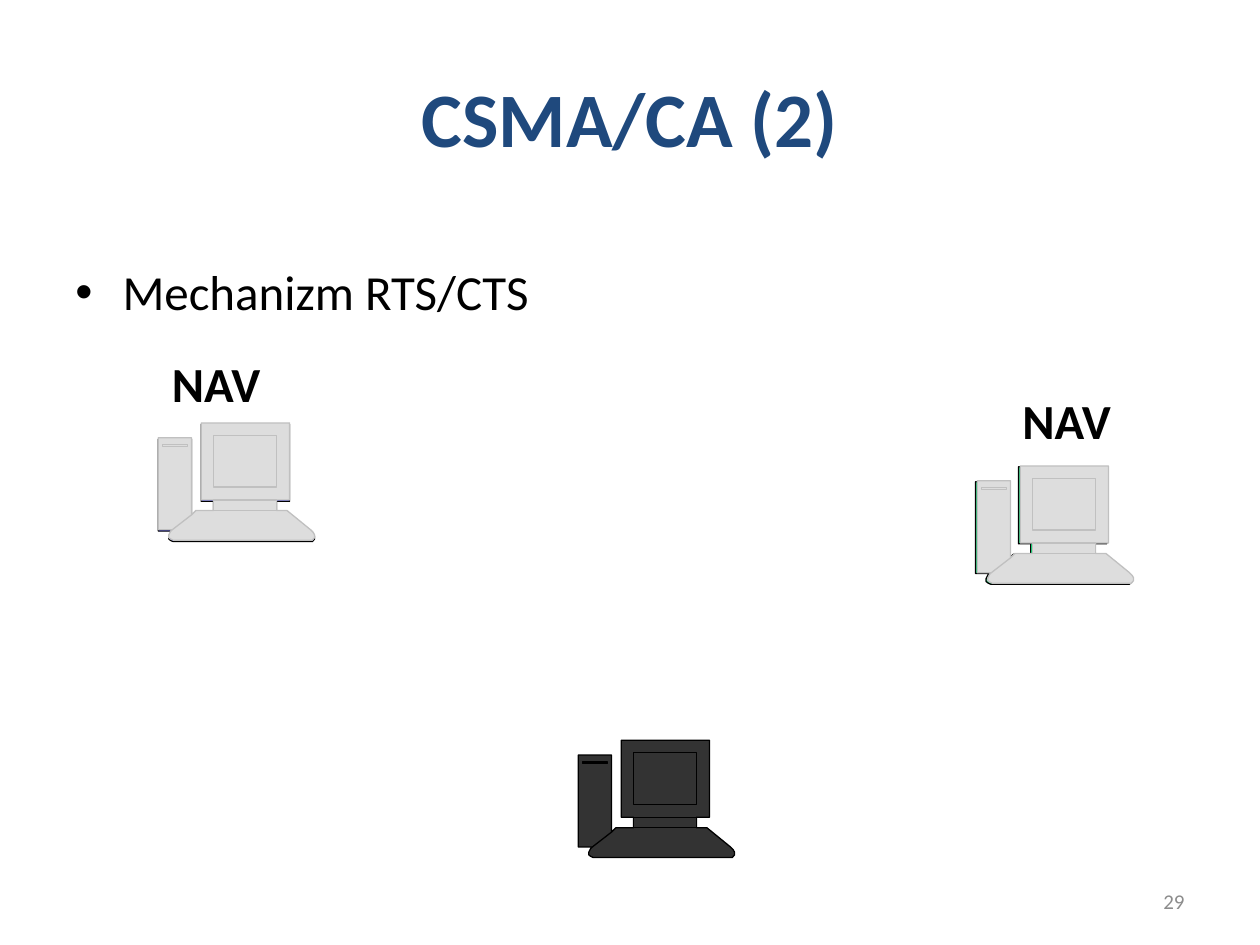
from lxml.etree import SubElement as Sub
from pptx import Presentation as Deck
from pptx.dml.color import RGBColor as Rgb
from pptx.enum.shapes import MSO_SHAPE as Kind
from pptx.enum.text import MSO_ANCHOR as Anchor, MSO_AUTO_SIZE as Auto, PP_ALIGN as Align
from pptx.oxml.ns import qn
from pptx.util import Pt

HUES = {
    "navy": "1F497D", "black": "000000", "white": "FFFFFF", "gray": "8C8C8C",
    "blue": "0000FF", "green": "00CC66", "dark": "333333",
    "pale": "DDDDDD", "edge": "C0C0C0",
}


def box(x1, y1, x2, y2):
    return [(x1, y1), (x2, y1), (x2, y2), (x1, y2)]


BODY = [
    (19, 52.5), (21.5, 50), (31.5, 50), (31.5, 44), (24.5, 44), (24.5, 0),
    (75, 0), (75, 44), (67.5, 44), (67.5, 50), (73.5, 50), (79, 54.5),
    (87, 61), (88.5, 62.5), (89.3, 64), (89.3, 65.5), (88, 67), (87, 67),
    (8.5, 67), (7, 66.3), (6, 65.5), (6, 64), (7, 62), (8, 61),
    (0, 61), (0, 8.5), (19, 8.5),
]
SEAM = [(19, 52.5), (8, 61)]
SCREEN = box(31.5, 7, 67.5, 36.7)
SLOT = box(2.5, 12.5, 16.5, 13.3)
NECK = box(31.5, 44, 67.5, 50)
PARTS = [BODY, SEAM, SCREEN, SLOT, NECK]


class Page:
    font = "Calibri"

    def __init__(self, deck):
        self.slide = deck.slides.add_slide(deck.slide_layouts[5])
        self.shapes = self.slide.shapes

    def hue(self, name):
        return Rgb.from_string(HUES[name])

    def place(self, shape, area):
        shape.left, shape.top, shape.width, shape.height = map(Pt, area)

    def style(self, shape, text, size, hue, bold=False, align=Align.LEFT, anchor=Anchor.TOP):
        frame = shape.text_frame
        frame.text = text
        frame.word_wrap = True
        frame.vertical_anchor = anchor
        para = frame.paragraphs[0]
        para.alignment = align
        font = para.runs[0].font
        font.name, font.size, font.bold = self.font, Pt(size), bold
        font.color.rgb = self.hue(hue)
        return para

    def title(self, text, area):
        shape = self.shapes.title
        self.place(shape, area)
        self.style(shape, text, 44, "navy", True, Align.CENTER, Anchor.MIDDLE)

    def text(self, text, area, size, hue, **look):
        shape = self.shapes.add_textbox(*map(Pt, area))
        return self.style(shape, text, size, hue, **look)

    def bullet(self, text, area):
        para = self.text(text, area, 28, "black")
        props = para._p.get_or_add_pPr()
        props.set("marL", str(Pt(27)))
        props.set("indent", str(Pt(-27)))
        Sub(props, qn("a:buFont"), typeface="Arial")
        Sub(props, qn("a:buChar"), char="•")

    def label(self, text, area):
        shape = self.shapes.add_shape(Kind.RECTANGLE, *map(Pt, area))
        shape.shadow.inherit = False
        shape.fill.solid()
        shape.fill.fore_color.rgb = self.hue("white")
        shape.line.fill.background()
        self.style(shape, text, 28, "black", True, Align.CENTER)
        shape.text_frame.auto_size = Auto.SHAPE_TO_FIT_TEXT

    def host(self, left, top, fill, line):
        pen = self.shapes.build_freeform(*map(Pt, BODY[0]))
        for part in PARTS:
            pts = [(Pt(x), Pt(y)) for x, y in part]
            if part is not BODY:
                pen.move_to(*pts[0])
            pen.add_line_segments(pts[1:], close=True)
        shape = pen.convert_to_shape(Pt(left), Pt(top))
        self.split(shape)
        shape.shadow.inherit = False
        shape.fill.solid()
        shape.fill.fore_color.rgb = self.hue(fill)
        shape.line.color.rgb = self.hue(line)
        shape.line.width = Pt(0.75)

    def split(self, shape):
        first = shape._element.find(".//" + qn("a:path"))
        group = first.getparent()
        steps = list(first)
        group.remove(first)
        for step in steps:
            if step.tag == qn("a:moveTo"):
                part = Sub(group, first.tag, dict(first.attrib))
            part.append(step)


def main():
    deck = Deck()
    deck.slide_width, deck.slide_height = Pt(720), Pt(540)
    page = Page(deck)
    page.title("CSMA/CA (2)", (36, 21.6, 648, 90))
    page.bullet("Mechanizm RTS/CTS", (36, 146, 648, 356.5))
    page.host(90.5, 242.5, "blue", "black")
    page.label("NAV", (534.5, 219.6, 150, 41))
    page.host(557.5, 266.8, "green", "black")
    page.host(330.5, 423, "dark", "black")
    page.host(558.5, 266.3, "pale", "edge")
    page.label("NAV", (48.5, 198.5, 150, 41))
    page.host(90.5, 241.7, "pale", "edge")
    page.text("29", (516, 500.5, 168, 28.8), 12, "gray",
              align=Align.RIGHT, anchor=Anchor.MIDDLE)
    deck.save("out.pptx")


if __name__ == "__main__":
    main()
